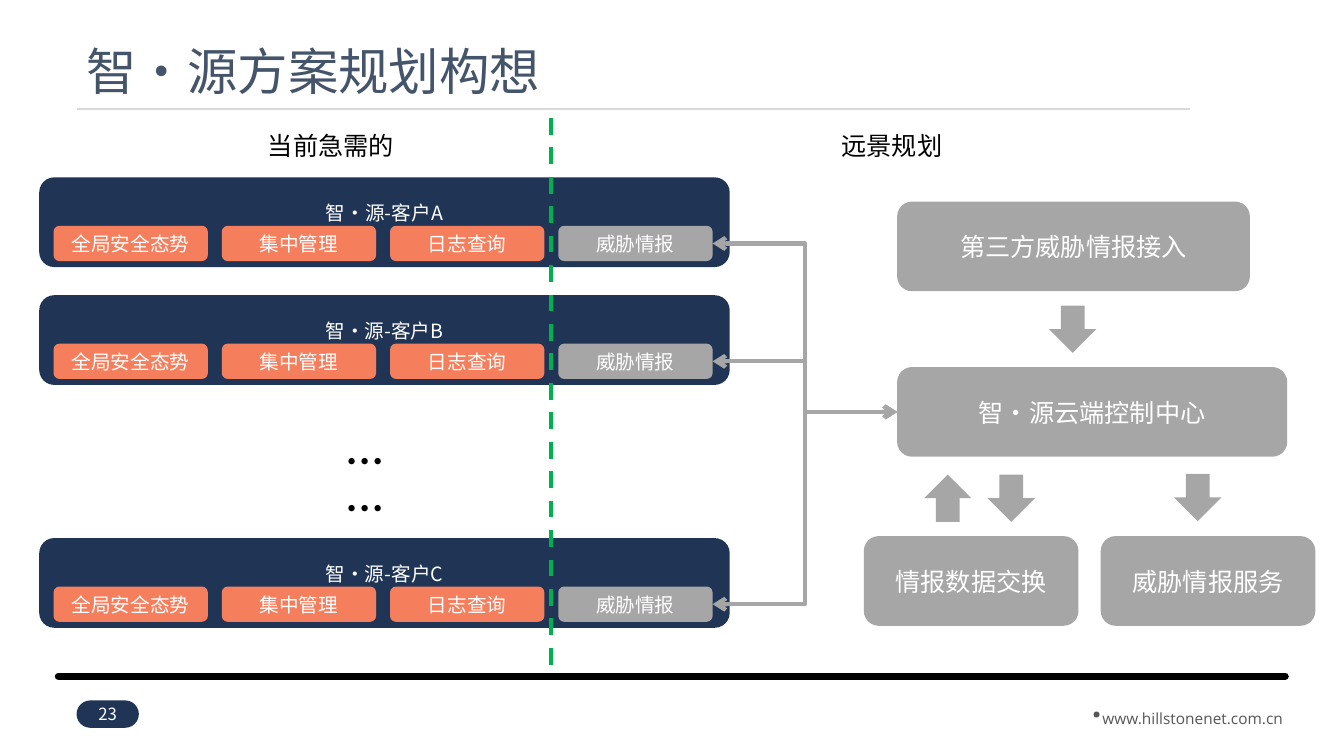
from lxml.etree import SubElement as Sub
from pptx import Presentation
from pptx.dml.color import RGBColor as Rgb
from pptx.enum.dml import MSO_LINE as Dash
from pptx.enum.shapes import MSO_CONNECTOR as Link, MSO_SHAPE as Kind
from pptx.enum.text import MSO_ANCHOR as Anchor, PP_ALIGN as Align
from pptx.oxml.ns import qn
from pptx.util import Cm, Pt

HEX = {"navy": "203556", "coral": "F57E5D", "gray": "A6A6A6", "white": "FFFFFF",
       "black": "000000", "slate": "44546A", "green": "00B050", "rule": "D9D9D9",
       "foot": "565656"}
SANS = "Noto Sans CJK SC"
CHIPS = [("全局安全态势", "coral"), ("集中管理", "coral"),
         ("日志查询", "coral"), ("威胁情报", "gray")]
ROWS = [("智·源-客户A", 4.47), ("智·源-客户B", 7.44), ("智·源-客户C", 13.56)]
HUB = ("智·源云端控制中心", 22.61, 9.25, 9.83)
CARDS = [("第三方威胁情报接入", 22.61, 5.08, 8.89),
         ("情报数据交换", 21.77, 13.51, 5.41),
         ("威胁情报服务", 27.74, 13.51, 5.41)]
ARROWS = [(26.44, 7.7, 0), (23.29, 11.96, 180), (24.89, 11.96, 0), (29.59, 11.94, 0)]
NOTES = [("智·源方案规划构想", (1.93, 1.02, 27.25, 1.68),
          {"size": Pt(36)}, "slate", {"line_spacing": 0.9}, Anchor.MIDDLE),
         ("……", (8.46, 10.9, 2.44, 1.45),
          {"size": Pt(28), "bold": True}, "black", {}, Anchor.TOP),
         ("当前急需的", (6.5, 3.15, 3.94, 1.02), {"size": Pt(18)}, "black", {}, Anchor.TOP),
         ("远景规划", (20.96, 3.15, 3.94, 1.02), {"size": Pt(18)}, "black", {}, Anchor.TOP),
         ("www.hillstonenet.com.cn", (27.1, 17.5, 5.92, 0.97),
          {"size": Pt(11), "name": "Open Sans"}, "foot",
          {"line_spacing": 1.5, "alignment": Align.CENTER}, Anchor.TOP)]
BAR_X, BAR_W, BAR_H = 0.99, 17.4, 2.26
CHIP_X, CHIP_W, CHIP_H, STEP, DROP = 1.35, 3.89, 0.89, 4.24, 1.22

deck = Presentation()
deck.slide_width, deck.slide_height = Cm(33.87), Cm(19.05)
shapes = deck.slides.add_slide(deck.slide_layouts[6]).shapes


def assign(item, vals):
    for key, val in vals.items():
        setattr(item, key, val)


def write(shape, text, font, tint, para, anchor, top=0.13):
    frame = shape.text_frame
    assign(frame, {"word_wrap": True, "vertical_anchor": anchor, "margin_top": Cm(top)})
    line = frame.paragraphs[0]
    assign(line, para)
    run = line.add_run()
    run.text = text
    run.font.color.rgb = Rgb.from_string(HEX[tint])
    assign(run.font, {"name": SANS, **font})
    Sub(run.font._element, qn("a:ea"), typeface=run.font.name)


def block(kind, box, tint, text="", size=14, anchor=Anchor.MIDDLE, top=0.13):
    shape = shapes.add_shape(kind, *map(Cm, box))
    shape.shadow.inherit = False
    shape.fill.solid()
    shape.fill.fore_color.rgb = Rgb.from_string(HEX[tint])
    shape.line.fill.background()
    if text:
        write(shape, text, {"size": Pt(size)}, "white",
              {"alignment": Align.CENTER}, anchor, top)
    return shape


def stroke(kind, ends, tint, width):
    wire = shapes.add_connector(kind, *map(Cm, ends))
    wire.line.color.rgb = Rgb.from_string(HEX[tint])
    wire.line.width = Pt(width)
    Sub(wire._element.spPr, qn("a:effectLst"))
    return wire


base = stroke(Link.STRAIGHT, (1.47, 17.04, 32.39, 17.04), "black", 5)
base.line._get_or_add_ln().set("cap", "rnd")
stroke(Link.STRAIGHT, (1.93, 2.74, 30, 2.74), "rule", 1.5)
block(Kind.OVAL, (27.56, 17.93, 0.15, 0.15), "foot")
badge = block(Kind.ROUNDED_RECTANGLE, (1.93, 17.65, 1.57, 0.69), "navy", "23", 12)
badge.adjustments[0] = 0.5

feeds = []
for name, top in ROWS:
    block(Kind.ROUNDED_RECTANGLE, (BAR_X, top, BAR_W, BAR_H), "navy", name,
          anchor=Anchor.TOP, top=0.49)
    for col, (text, tint) in enumerate(CHIPS):
        chip = block(Kind.ROUNDED_RECTANGLE,
                     (CHIP_X + col * STEP, top + DROP, CHIP_W, CHIP_H), tint, text)
    feeds.append(chip)

hub, *cards = [block(Kind.ROUNDED_RECTANGLE, (x, y, wide, BAR_H), "gray", text, 18)
               for text, x, y, wide in [HUB, *CARDS]]
for feed in feeds:
    wire = stroke(Link.ELBOW, (0, 0, 1, 1), "gray", 3)
    wire.begin_connect(feed, 3)
    wire.end_connect(hub, 1)
    for end in ("a:headEnd", "a:tailEnd"):
        Sub(wire.line._get_or_add_ln(), qn(end), type="arrow")

for x, y, turn in ARROWS:
    block(Kind.DOWN_ARROW, (x, y, 1.19, 1.19), "gray").rotation = turn

split = stroke(Link.STRAIGHT, (13.89, 2.97, 13.89, 16.87), "green", 3)
split.line.dash_style = Dash.DASH

for text, box, font, tint, para, anchor in NOTES:
    write(shapes.add_textbox(*map(Cm, box)), text, font, tint, para, anchor)

deck.save("out.pptx")
